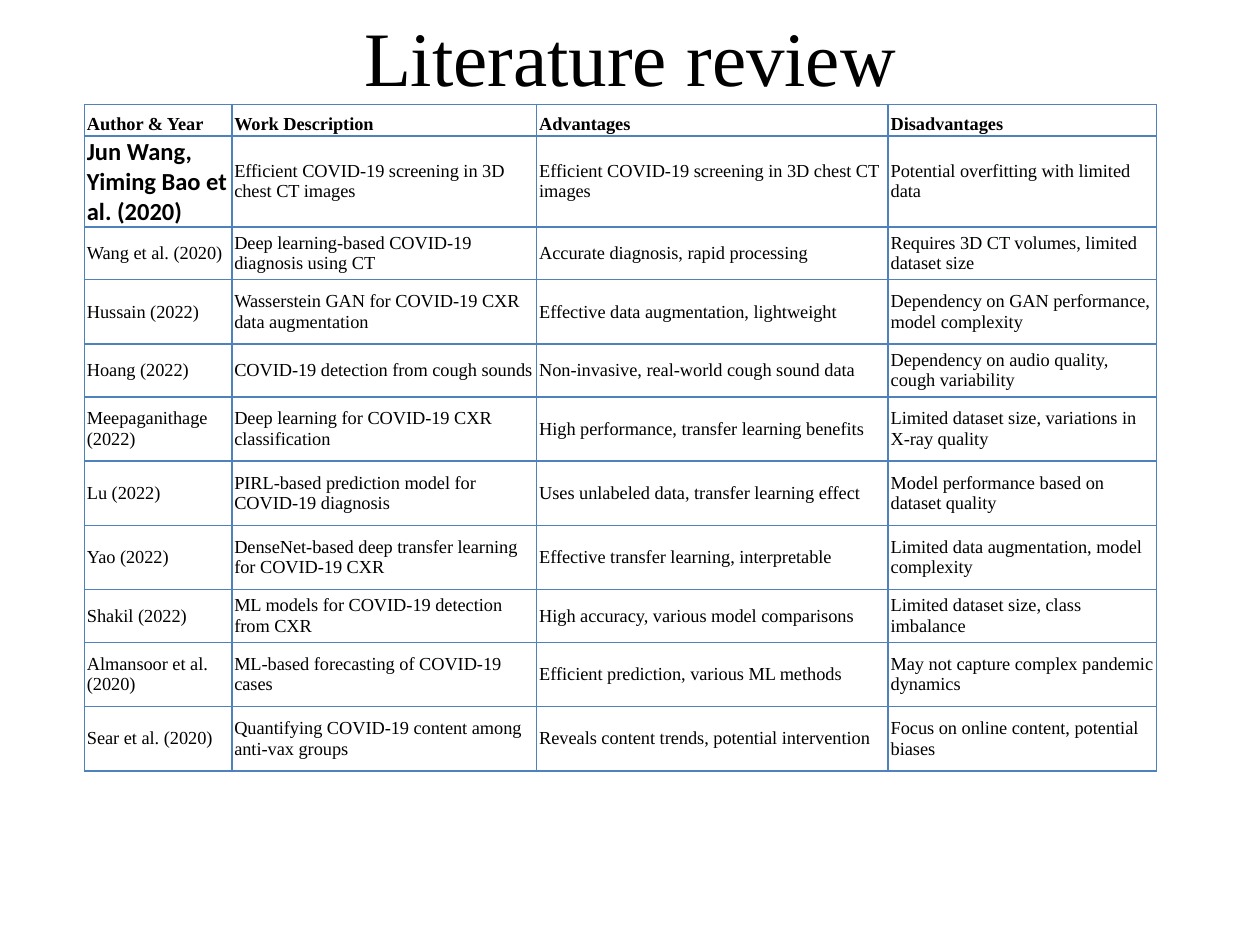
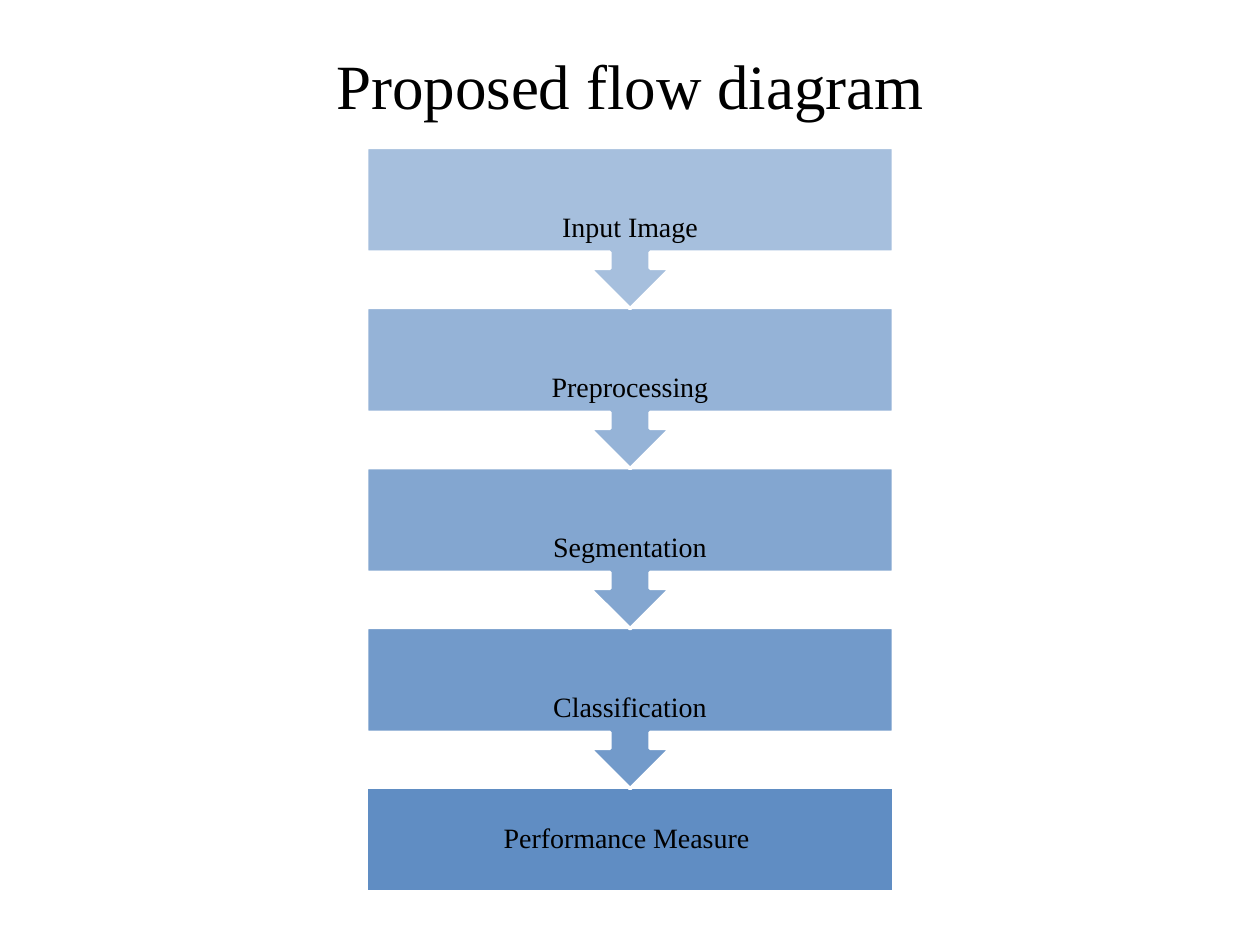
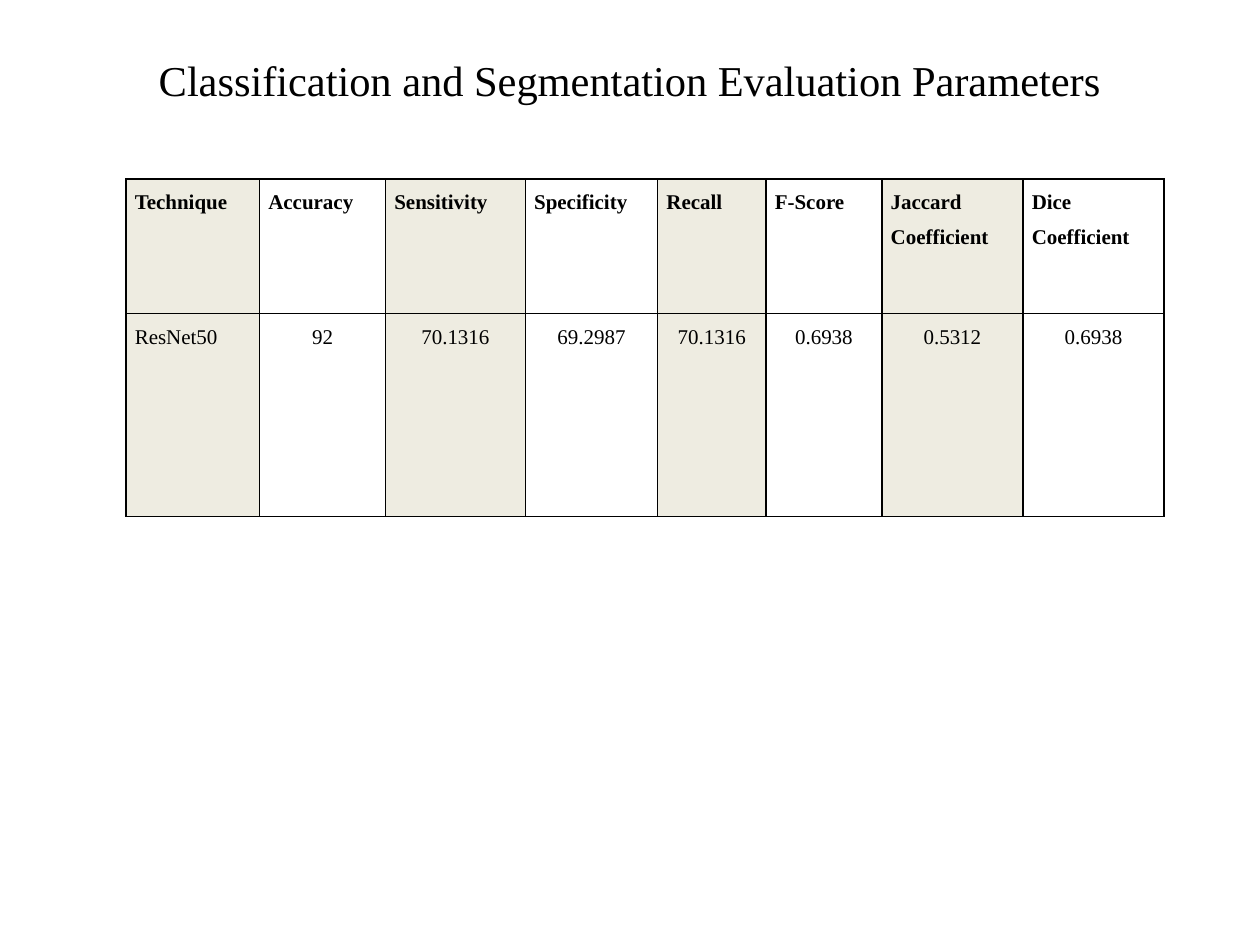
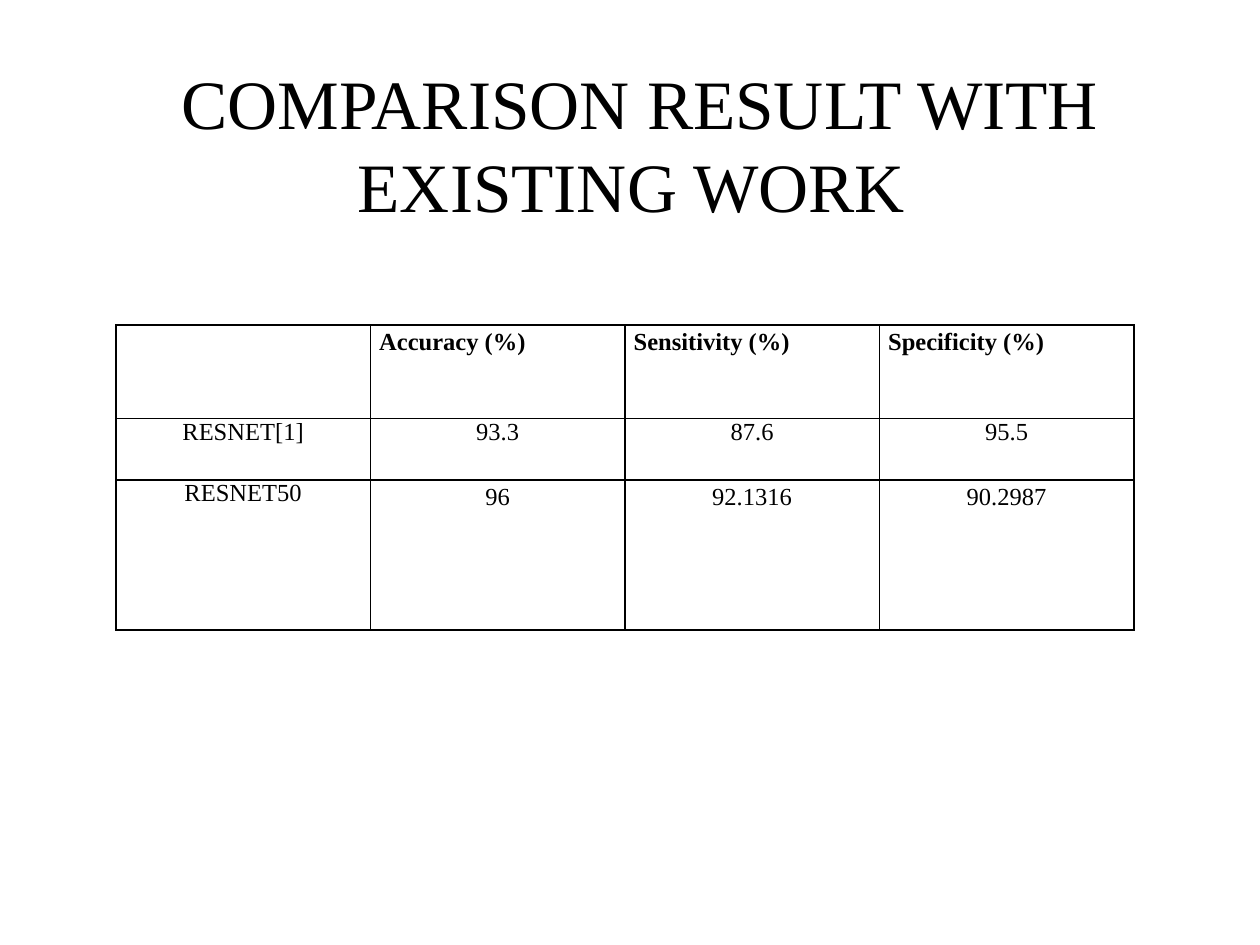
from dataclasses import dataclass

from lxml import etree
from pptx import Presentation
from pptx import util as u
from pptx.dml.color import RGBColor
from pptx.enum import shapes, text
from pptx.oxml import ns


@dataclass(frozen=True)
class Theme:
    font: str = "Times New Roman"
    accent_font: str = "Calibri"
    ink: str = "000000"
    blue: str = "4F81BD"
    cream: str = "EEECE1"
    white: str = "FFFFFF"
    review_size: float = 10.5
    author_size: float = 14
    step_size: float = 16
    metric_size: float = 12
    result_size: float = 14


theme = Theme()
align = text.PP_ALIGN
anchors = text.MSO_ANCHOR

deck = Presentation()
deck.slide_width, deck.slide_height = u.Inches(10), u.Inches(7.5)
column = deck.slide_width / 100
row = deck.slide_height / 75


def write(frame, content, size, alignment=align.CENTER, spacing=None, bold=False, font=theme.font):
    frame.word_wrap = True
    frame.text = content
    para = frame.paragraphs[0]
    para.alignment = alignment
    para.line_spacing = spacing
    for span in para.runs:
        span.font.name, span.font.size, span.font.bold = font, u.Pt(size), bold
        span.font.color.rgb = RGBColor.from_string(theme.ink)


def add_grid(page, left, top, widths, heights, records, size, border,
             head_align, body_align, margins, head_anchor, body_anchor,
             head_spacing=None, body_spacing=None, stripe=None):
    grid = page.shapes.add_table(
        len(heights), len(widths), int(left * column), int(top * row),
        int(sum(widths) * column), int(sum(heights) * row)).table
    grid.first_row = grid.horz_banding = False
    for index, width in enumerate(widths):
        grid.columns[index].width = int(width * column)
    for index, height in enumerate(heights):
        grid.rows[index].height = int(height * row)
    for r, record in enumerate(records):
        head = r == 0
        for c, content in enumerate(record):
            cell = grid.cell(r, c)
            cell.margin_left = cell.margin_right = int(margins[0] * column)
            cell.margin_top = cell.margin_bottom = int(margins[1] * row)
            cell.vertical_anchor = head_anchor if head else body_anchor
            write(cell.text_frame, content, size, head_align if head else body_align,
                  head_spacing if head else body_spacing, head)
            if stripe and c % 2 == 0:
                cell.fill.solid()
                cell.fill.fore_color.rgb = RGBColor.from_string(stripe)
            else:
                cell.fill.background()
            properties = cell._tc.get_or_add_tcPr()
            for position, side in enumerate(("lnL", "lnR", "lnT", "lnB")):
                edge = etree.Element(ns.qn(f"a:{side}"), w=str(u.Pt(1)))
                paint = etree.SubElement(edge, ns.qn("a:solidFill"))
                etree.SubElement(paint, ns.qn("a:srgbClr"), val=border)
                properties.insert(position, edge)
    return grid


titles = [
    ("Literature review ", 44, 5.8, 0, 8.8, 0.5),
    ("Proposed flow diagram", 36, 5, 3, 12.5, 5.65),
    ("Classification and Segmentation Evaluation Parameters", 24.3, 5, 3, 12.5, 6.3),
    ("COMPARISON RESULT WITH EXISTING WORK ", 39.6, 5.8, 8.3, 12.5, 6.8),
]
pages = []
for title, size, left, top, height, bottom_margin in titles:
    page = deck.slides.add_slide(deck.slide_layouts[6])
    box = page.shapes.add_textbox(int(left * column), int(top * row), int(90 * column), int(height * row))
    box.text_frame.vertical_anchor = anchors.MIDDLE
    box.text_frame.margin_bottom = int(bottom_margin * row)
    write(box.text_frame, title, size)
    pages.append(page)
review_page, flow_page, metrics_page, comparison_page = pages

reviews = [
    ("Author & Year", "Work Description", "Advantages", "Disadvantages"),
    ("Jun Wang, Yiming Bao et al. (2020)", "Efficient COVID-19 screening in 3D chest CT images",
     "Efficient COVID-19 screening in 3D chest CT images", "Potential overfitting with limited data"),
    ("Wang et al. (2020)", "Deep learning-based COVID-19 diagnosis using CT",
     "Accurate diagnosis, rapid processing", "Requires 3D CT volumes, limited dataset size"),
    ("Hussain (2022)", "Wasserstein GAN for COVID-19 CXR data augmentation",
     "Effective data augmentation, lightweight", "Dependency on GAN performance, model complexity"),
    ("Hoang (2022)", "COVID-19 detection from cough sounds",
     "Non-invasive, real-world cough sound data", "Dependency on audio quality, cough variability"),
    ("Meepaganithage (2022)", "Deep learning for COVID-19 CXR classification",
     "High performance, transfer learning benefits", "Limited dataset size, variations in X-ray quality"),
    ("Lu (2022)", "PIRL-based prediction model for COVID-19 diagnosis",
     "Uses unlabeled data, transfer learning effect", "Model performance based on dataset quality"),
    ("Yao (2022)", "DenseNet-based deep transfer learning for COVID-19 CXR",
     "Effective transfer learning, interpretable", "Limited data augmentation, model complexity"),
    ("Shakil (2022)", "ML models for COVID-19 detection from CXR",
     "High accuracy, various model comparisons", "Limited dataset size, class imbalance"),
    ("Almansoor et al. (2020)", "ML-based forecasting of COVID-19 cases",
     "Efficient prediction, various ML methods", "May not capture complex pandemic dynamics"),
    ("Sear et al. (2020)", "Quantifying COVID-19 content among anti-vax groups",
     "Reveals content trends, potential intervention", "Focus on online content, potential biases"),
]
review_grid = add_grid(
    review_page, 6.7, 8.3, [11.7, 24.2, 27.9, 21.3],
    [2.5, 4.2, 4.2, 5.1, 4.2, 5.1, 5.1, 5.1, 4.2, 5.1, 5.1],
    reviews, theme.review_size, theme.blue, align.LEFT, align.LEFT,
    (0.2, 0.1), anchors.BOTTOM, anchors.MIDDLE)
write(review_grid.cell(1, 0).text_frame, reviews[1][0], theme.author_size, align.LEFT,
      bold=True, font=theme.accent_font)

steps = ["Input Image", "Preprocessing", "Segmentation", "Classification", "Performance Measure "]
last = len(steps) - 1
for index in range(last, -1, -1):
    kind = shapes.MSO_SHAPE.RECTANGLE if index == last else shapes.MSO_SHAPE.UP_ARROW_CALLOUT
    height = 8.3 if index == last else 12.8
    place = [int(v) for v in (29.1 * column, (11.7 + 12.7 * index) * row, 41.8 * column, height * row)]
    step = flow_page.shapes.add_shape(kind, *place)
    step.rotation = 0 if index == last else 180
    step.shadow.inherit = False
    step.fill.solid()
    step.fill.fore_color.rgb = RGBColor.from_string(theme.blue)
    shade = step.element.find(".//" + ns.qn("a:srgbClr"))
    etree.SubElement(shade, ns.qn("a:alpha"), val=str(50000 + 10000 * index))
    step.line.color.rgb = RGBColor.from_string(theme.white)
    step.line.width = u.Pt(2)
    frame = flow_page.shapes.add_textbox(*place).text_frame
    frame.vertical_anchor = anchors.MIDDLE
    frame.margin_left = frame.margin_right = int(1.2 * column)
    frame.margin_top = frame.margin_bottom = int(1.2 * row)
    write(frame, steps[index], theme.step_size, spacing=0.9)

metrics = [
    ("Technique", "Accuracy", "Sensitivity", "Specificity", "Recall", "F-Score",
     "Jaccard Coefficient", "Dice Coefficient"),
    ("ResNet50", "92", "70.1316", "69.2987", "70.1316", "0.6938", "0.5312", "0.6938"),
]
metric_grid = add_grid(
    metrics_page, 10, 14.2, [10.6, 10, 11.1, 10.5, 8.6, 9.2, 11.2, 11.2], [10.7, 16.1],
    metrics, theme.metric_size, theme.ink, align.JUSTIFY, align.CENTER,
    (0.7, 0), anchors.TOP, anchors.TOP, 1.5, 1.5, theme.cream)
metric_grid.cell(1, 0).text_frame.paragraphs[0].alignment = align.JUSTIFY

results = [
    ("", "Accuracy (%)", "Sensitivity (%)", "Specificity (%)"),
    ("RESNET[1]", "93.3", "87.6", "95.5"),
    ("RESNET50", "96", "92.1316", "90.2987"),
]
result_grid = add_grid(
    comparison_page, 9.2, 25.8, [20.2] * 4, [7.4, 4.9, 11.9],
    results, theme.result_size, theme.ink, align.LEFT, align.CENTER,
    (0.7, 0), anchors.TOP, anchors.TOP, 1.15)
for c in range(1, 4):
    result_grid.cell(2, c).text_frame.paragraphs[0].line_spacing = 1.15

deck.save("out.pptx")
